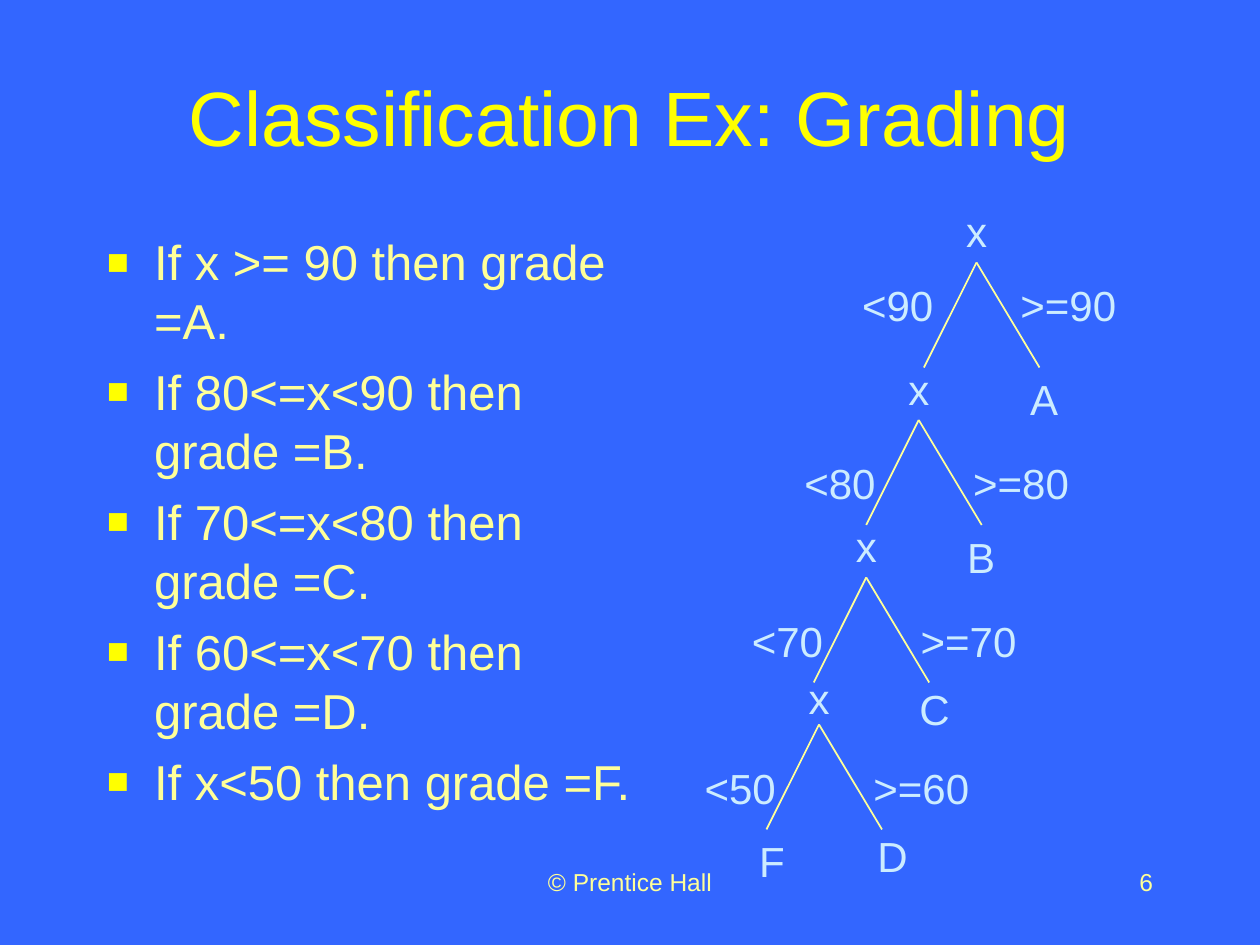
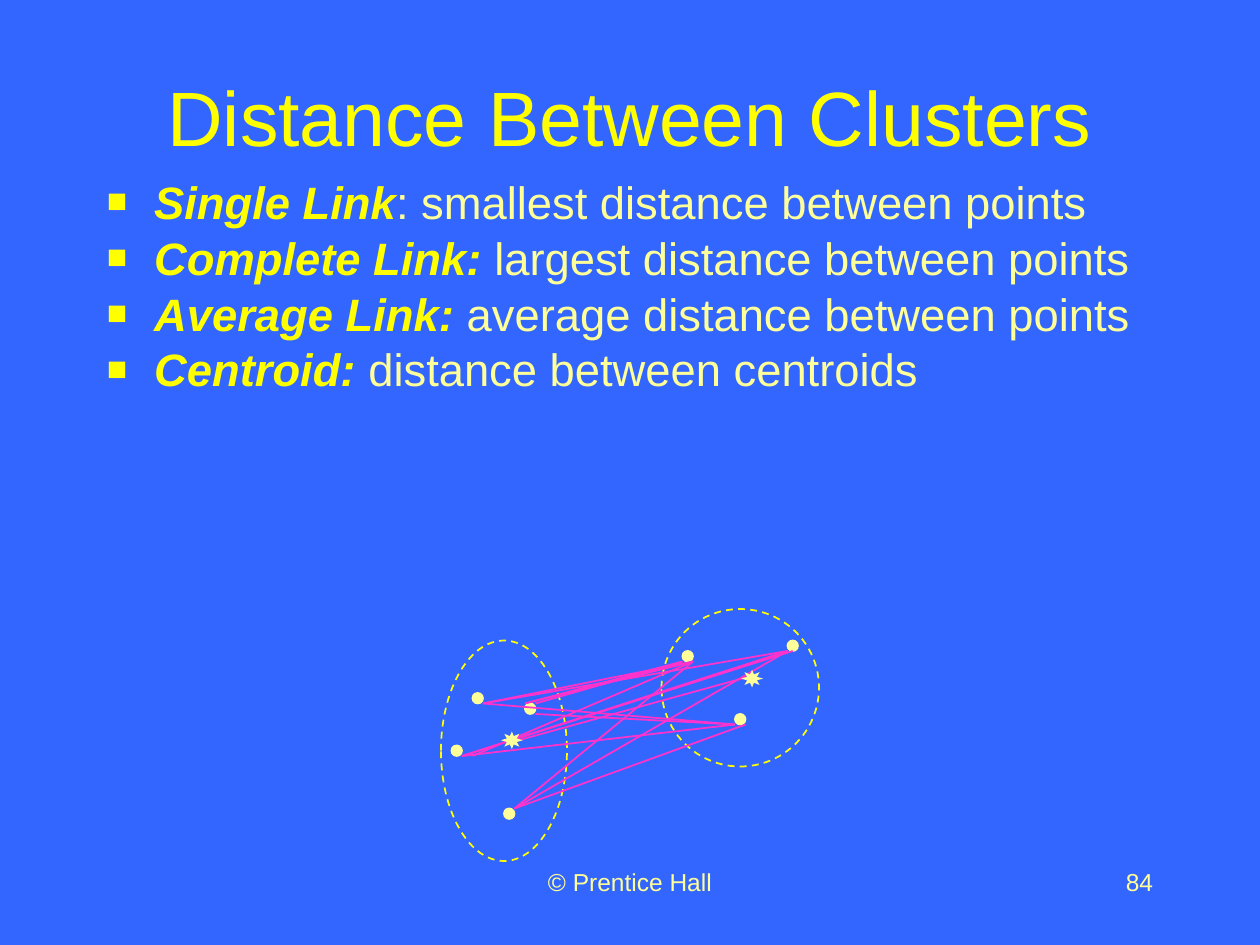
from dataclasses import dataclass

from lxml.etree import SubElement
from pptx import Presentation
from pptx.dml.color import RGBColor
from pptx.enum.dml import MSO_LINE
from pptx.enum.shapes import MSO_CONNECTOR, MSO_SHAPE
from pptx.enum.text import MSO_ANCHOR, PP_ALIGN
from pptx.oxml.ns import qn
from pptx.util import Emu, Pt

PX = 9525
FONT = "Arial"
HUES = {"back": "3366FF", "title": "FFFF00", "body": "FFFF99", "label": "CCECFF", "link": "FF33CC"}


@dataclass(frozen=True)
class Box:
    """A place on the slide, in px."""
    x: int
    y: int
    w: int
    h: int

    def emu(self) -> tuple:
        """Give the place in EMU."""
        return tuple(Emu(n * PX) for n in (self.x, self.y, self.w, self.h))


@dataclass(frozen=True)
class Split:
    """One test of the tree, placed by the point where it forks."""
    x: int
    y: int
    low: str
    high: str
    leaf: str
    side: int
    drop: int
    right: int = 30
    down: int = 24
    rise: int = 48


@dataclass(frozen=True)
class Link:
    """A line between two points."""
    x1: int
    y1: int
    x2: int
    y2: int


TITLE = Box(72, 24, 816, 128)
FOOT = Box(328, 656, 304, 48)
PAGE = Box(688, 656, 200, 48)

RULES = [
    "If x >= 90 then grade =A.",
    "If 80<=x<90 then grade =B.",
    "If 70<=x<80 then grade =C.",
    "If 60<=x<70 then grade =D.",
    "If x<50 then grade =F.",
]
SPLITS = [
    Split(744, 200, "<90", ">=90", "A", 31, 80, right=22, down=8),
    Split(700, 320, "<80", ">=80", "B", 27, 80),
    Split(660, 440, "<70", ">=70", "C", 31, 76),
    Split(624, 552, "<50", ">=60", "D", 35, 76, rise=44),
]

TERMS = [
    ("Single Link", ": smallest distance between points"),
    ("Complete Link:", " largest distance between points"),
    ("Average Link: ", "average distance between points"),
    ("Centroid: ", "distance between centroids"),
]
DOTS = [(360, 528), (400, 536), (384, 616), (344, 568), (560, 544), (520, 496), (600, 488)]
RINGS = [Box(336, 488, 96, 168), Box(504, 464, 120, 120)]
SUNS = [Box(567, 512, 12, 10), Box(384, 559, 12, 10)]
LINKS = [
    Link(408, 536, 520, 504), Link(352, 576, 604, 496), Link(368, 536, 528, 504),
    Link(360, 576, 528, 504), Link(392, 616, 528, 504), Link(560, 552, 368, 536),
    Link(560, 552, 408, 544), Link(560, 552, 352, 576), Link(568, 552, 392, 616),
    Link(600, 496, 368, 536), Link(600, 496, 392, 616), Link(400, 536, 520, 504),
    Link(395, 564, 569, 516), Link(528, 504, 400, 536), Link(352, 576, 600, 496),
]


def hue(name: str) -> RGBColor:
    """Look up a colour."""
    return RGBColor.from_string(HUES[name])


def style(run, size: float, tint: str, strong: bool = False) -> None:
    """Format one run."""
    font = run.font
    font.name, font.size = FONT, Pt(size)
    font.bold = font.italic = strong
    font.color.rgb = hue(tint)


def write(slide, box: Box, text: str, size: int, tint: str, align=PP_ALIGN.CENTER,
          wrap: bool = True, anchor=MSO_ANCHOR.TOP):
    """Add a text box with one paragraph."""
    shape = slide.shapes.add_textbox(*box.emu())
    frame = shape.text_frame
    frame.word_wrap, frame.vertical_anchor = wrap, anchor
    frame.text = text
    para = frame.paragraphs[0]
    para.alignment = align
    style(para.runs[0], size, tint)
    return shape


def bullet(para) -> None:
    """Give a paragraph a hanging square bullet."""
    props = para._p.get_or_add_pPr()
    props.set("marL", str(36 * PX))
    props.set("indent", str(-36 * PX))
    paint = SubElement(props, qn("a:buClr"))
    SubElement(paint, qn("a:srgbClr"), val=HUES["title"])
    SubElement(props, qn("a:buSzPct"), val="75000")
    SubElement(props, qn("a:buFont"), typeface=FONT)
    SubElement(props, qn("a:buChar"), char="■")


def items(slide, box: Box, rows: list, size: float, pitch: float = 1.0) -> None:
    """Add a bullet list of (strong term, plain text) rows."""
    frame = slide.shapes.add_textbox(*box.emu()).text_frame
    frame.word_wrap = True
    for i, (term, rest) in enumerate(rows):
        para = frame.add_paragraph() if i else frame.paragraphs[0]
        bullet(para)
        para.line_spacing = pitch
        para.space_before = Pt(7 if i else 0)
        for text, tint, strong in ((term, "title", True), (rest, "body", False)):
            if text:
                run = para.add_run()
                run.text = text
                style(run, size, tint, strong)


def join(slide, link: Link, tint: str):
    """Draw a thin straight line."""
    ends = (Emu(n * PX) for n in (link.x1, link.y1, link.x2, link.y2))
    line = slide.shapes.add_connector(MSO_CONNECTOR.STRAIGHT, *ends)
    line.line.color.rgb, line.line.width = hue(tint), Pt(1)
    SubElement(line._element.spPr, qn("a:effectLst"))
    return line


def mark(slide, kind, box: Box, tint: str, dashed: bool = False):
    """Draw a solid mark, or a dashed outline, with pointed corners."""
    shape = slide.shapes.add_shape(kind, *box.emu())
    shape.shadow.inherit = False
    shape.line.color.rgb, shape.line.width = hue(tint), Pt(1)
    if dashed:
        shape.fill.background()
        shape.line.dash_style = MSO_LINE.DASH
    else:
        shape.fill.solid()
        shape.fill.fore_color.rgb = hue(tint)
    SubElement(shape._element.spPr.find(qn("a:ln")), qn("a:miter"), lim="800000")
    return shape


def start(deck, title: str, page: int):
    """Add a slide with its ground, title and footer."""
    slide = deck.slides.add_slide(deck.slide_layouts[6])
    ground = slide.background.fill
    ground.solid()
    ground.fore_color.rgb = hue("back")
    write(slide, TITLE, title, 44, "title", anchor=MSO_ANCHOR.MIDDLE)
    write(slide, FOOT, "© Prentice Hall", 14, "body")
    write(slide, PAGE, str(page), 14, "body", PP_ALIGN.RIGHT)
    return slide


def label(slide, x: int, y: int, w: int, text: str, h: int = 48):
    """Add a label of the tree."""
    return write(slide, Box(x, y, w, h), text, 24, "label", wrap=False)


def fork(slide, split: Split) -> None:
    """Draw a test with its two branches and its leaf."""
    x, y = split.x, split.y
    root = label(slide, x - 18, y - split.rise, 36, "x", split.rise)
    for step in (-40, 48):
        join(slide, Link(x, y, x + step, y + 80), "body").begin_connect(root, 2)
    label(slide, x - 104, y + split.down, 88, split.low)
    label(slide, x + split.right, y + split.down, 96, split.high)
    label(slide, x + split.side, y + split.drop, 41, split.leaf)


def grading(deck) -> None:
    """Build the grading slide."""
    slide = start(deck, "Classification Ex: Grading", 6)
    items(slide, Box(72, 172, 440, 468), [("", rule) for rule in RULES], 28)
    for split in SPLITS:
        fork(slide, split)
    last = SPLITS[-1]
    label(slide, last.x - 55, last.y + 80, 38, "F")


def clusters(deck) -> None:
    """Build the cluster slide."""
    slide = start(deck, "Distance Between Clusters", 84)
    items(slide, Box(72, 136, 816, 252), TERMS, 25.9, 0.8)
    for x, y in DOTS:
        mark(slide, MSO_SHAPE.OVAL, Box(x, y, 8, 8), "body")
    for ring in RINGS:
        mark(slide, MSO_SHAPE.OVAL, ring, "title", dashed=True)
    for link in LINKS:
        join(slide, link, "link")
    for sun in SUNS:
        mark(slide, MSO_SHAPE.SUN, sun, "body")


def main() -> None:
    """Build and save the deck."""
    deck = Presentation()
    deck.slide_width, deck.slide_height = Emu(960 * PX), Emu(720 * PX)
    grading(deck)
    clusters(deck)
    deck.save("out.pptx")


if __name__ == "__main__":
    main()
